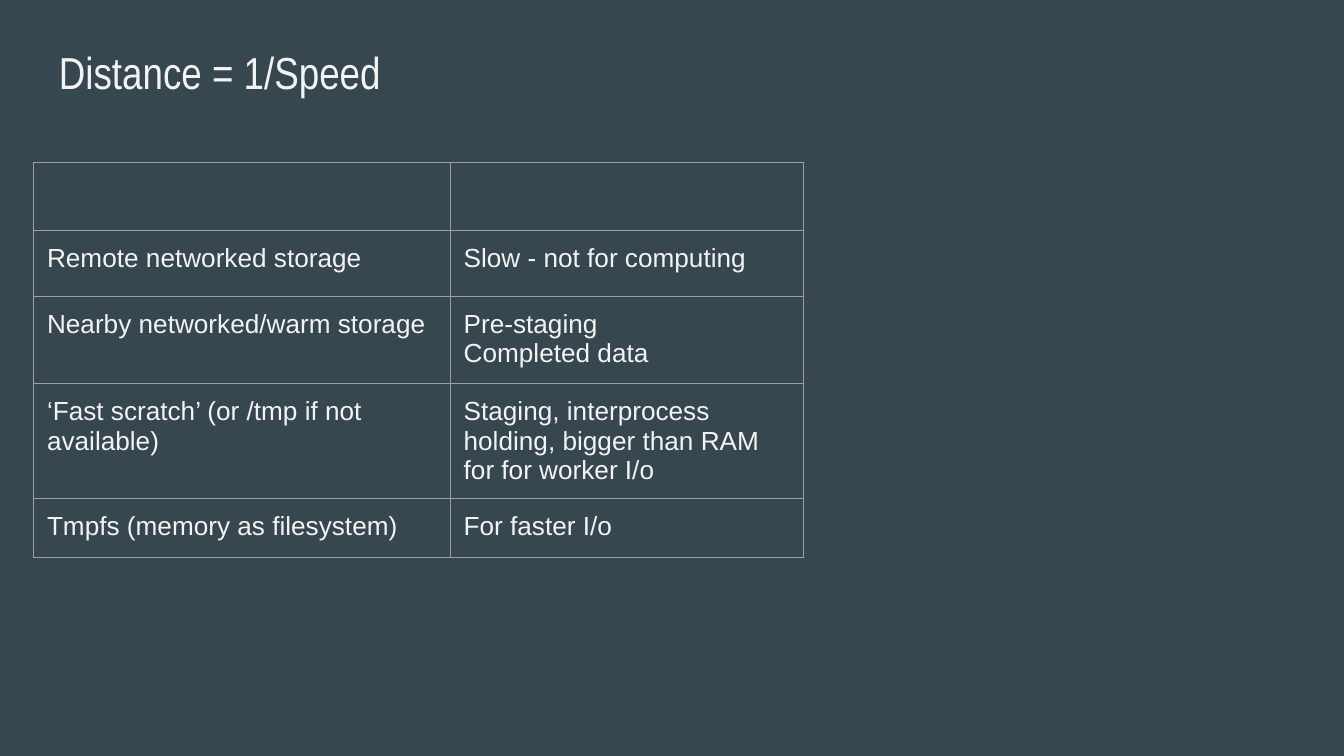
from lxml import etree
from pptx import Presentation
from pptx.dml.color import RGBColor
from pptx.enum.text import MSO_ANCHOR
from pptx.oxml.ns import qn
from pptx.util import Inches, Pt

TOP = MSO_ANCHOR.TOP
SLATE = RGBColor(0x37, 0x47, 0x4F)
PALE = RGBColor(0xF3, 0xF3, 0xF3)
GREY = RGBColor(0x9E, 0x9E, 0x9E)

MARGIN = Inches(0.1)
COLUMN_WIDTHS = [3.1, 2.63]
ROW_HEIGHTS = [0.48, 0.49, 0.65, 0.85, 0.44]
STORAGE_ROWS = [
    ("", ""),
    ("Remote networked storage", "Slow - not for computing"),
    ("Nearby networked/warm storage", "Pre-staging\nCompleted data"),
    ("‘Fast scratch’ (or /tmp if not available)",
     "Staging, interprocess holding, bigger than RAM for for worker I/o"),
    ("Tmpfs (memory as filesystem)", "For faster I/o"),
]


def fill_text(holder, frame, text, font_name, size):
    """Write text into a frame; holder is the cell or frame with the margins."""
    holder.margin_left = holder.margin_right = MARGIN
    holder.margin_top = holder.margin_bottom = MARGIN
    holder.vertical_anchor = TOP
    frame.text = text
    for para in frame.paragraphs:
        for span in para.runs:
            span.font.name = font_name
            span.font.size = Pt(size)
            span.font.color.rgb = PALE


def add_borders(cell):
    """Draw all four sides; the lines must precede the fill in the XML."""
    properties = cell._tc.get_or_add_tcPr()
    for position, side in enumerate(("a:lnL", "a:lnR", "a:lnT", "a:lnB")):
        line = etree.Element(qn(side), w=str(Pt(0.75)))
        fill = etree.SubElement(line, qn("a:solidFill"))
        etree.SubElement(fill, qn("a:srgbClr"), val=str(GREY))
        properties.insert(position, line)


def add_title(page, left, top, width, height):
    frame = page.shapes.add_textbox(left, top, width, height).text_frame
    frame.word_wrap = True
    fill_text(frame, frame, "Distance = 1/Speed", "Arial Narrow", 24)


def add_storage_table(page, left, top):
    table = page.shapes.add_table(
        len(ROW_HEIGHTS), len(COLUMN_WIDTHS), left, top,
        Inches(sum(COLUMN_WIDTHS)), Inches(sum(ROW_HEIGHTS))).table
    table.first_row = False
    table.horz_banding = False
    for column, width in zip(table.columns, COLUMN_WIDTHS):
        column.width = Inches(width)
    for row, height, texts in zip(table.rows, ROW_HEIGHTS, STORAGE_ROWS):
        row.height = Inches(height)
        for cell, text in zip(row.cells, texts):
            fill_text(cell, cell.text_frame, text, "Arial", 14)
            cell.fill.background()
            add_borders(cell)


def main():
    deck = Presentation()
    deck.slide_width = Inches(10)
    deck.slide_height = deck.slide_width * 9 // 16
    page = deck.slides.add_slide(deck.slide_layouts[6])
    page.background.fill.solid()
    page.background.fill.fore_color.rgb = SLATE
    add_storage_table(page, Inches(0.25), Inches(1.21))
    add_title(page, Inches(0.34), Inches(0.23), Inches(9.32), Inches(0.63))
    deck.save("out.pptx")


if __name__ == "__main__":
    main()
